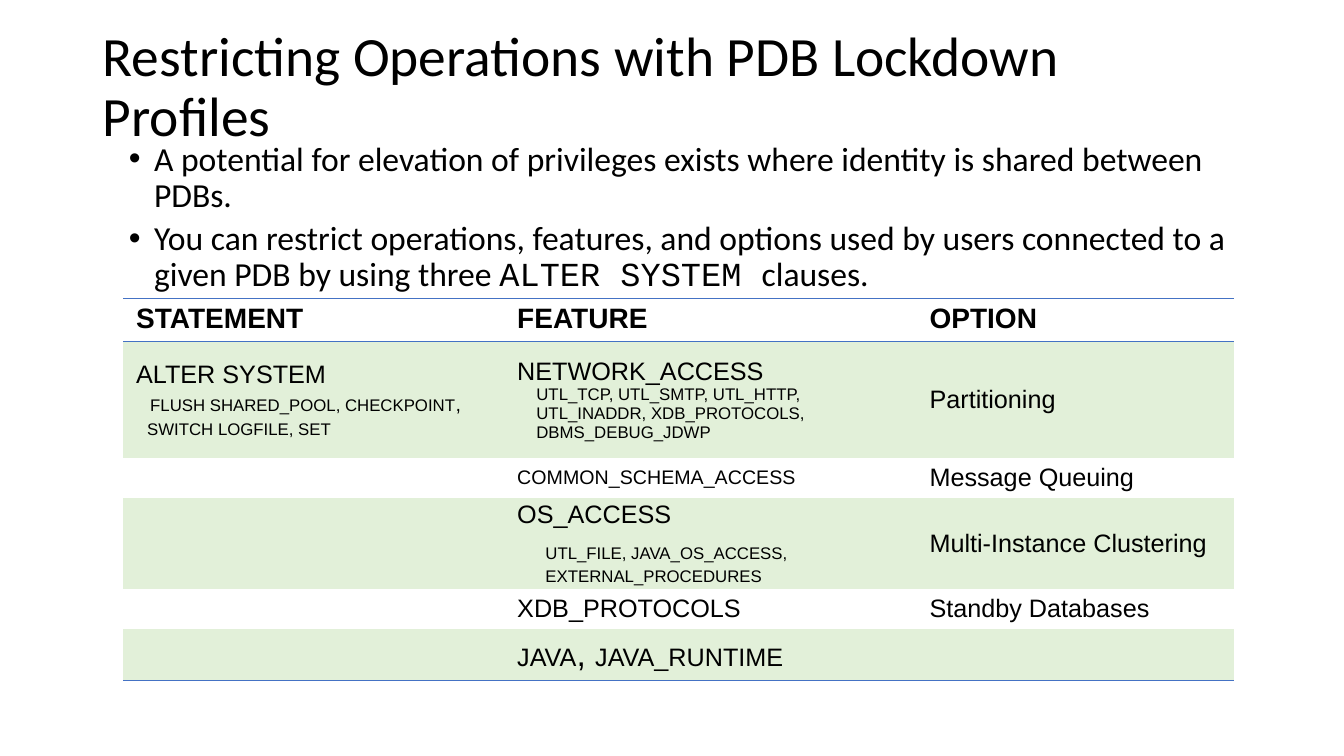
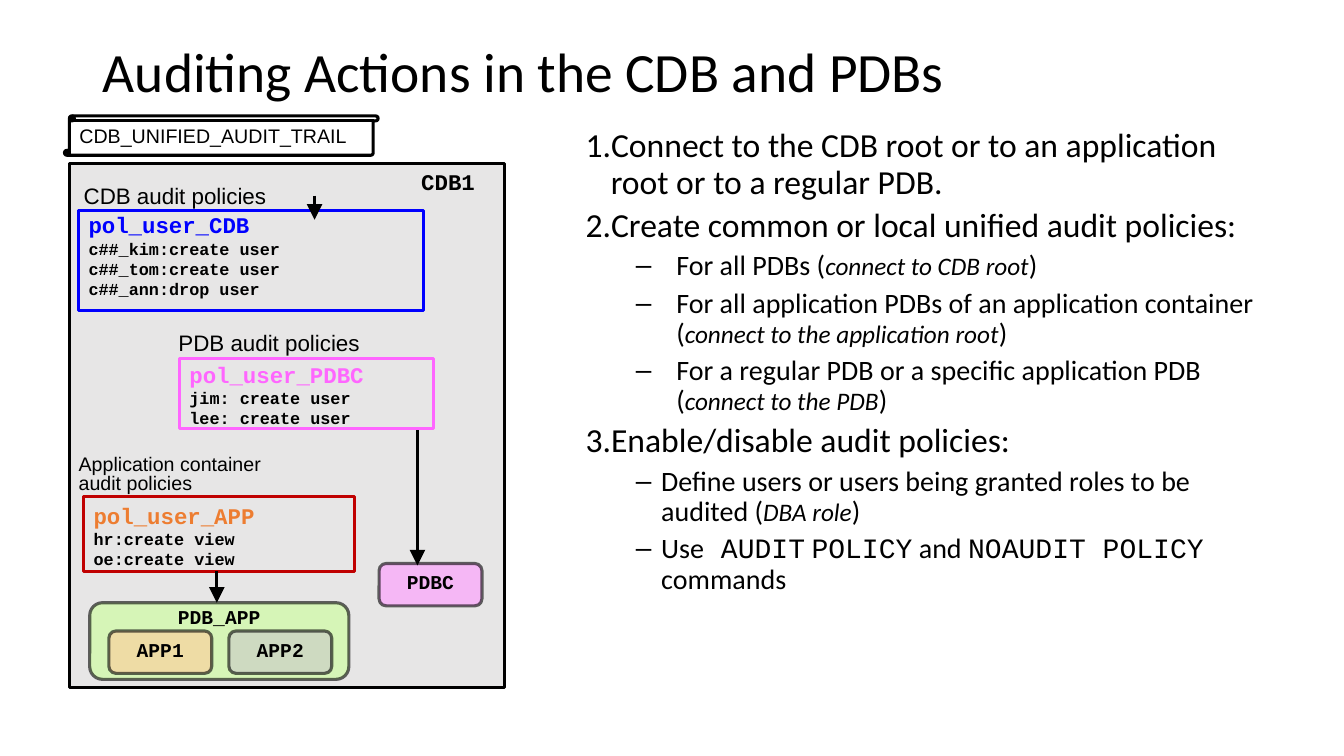
from pptx import Presentation
from pptx.dml.color import RGBColor
from pptx.enum.dml import MSO_LINE
from pptx.enum.shapes import MSO_CONNECTOR, MSO_SHAPE
from pptx.enum.text import MSO_ANCHOR, MSO_AUTO_SIZE, PP_ALIGN
from pptx.oxml import parse_xml
from pptx.oxml.ns import nsdecls, qn
from pptx.oxml.xmlchemy import OxmlElement
from pptx.util import Inches, Pt

COLORS = {
    "black": "000000", "panel": "E7E6E6", "band": "E2F0D9", "rule": "4472C4",
    "blue": "0000FF", "pink": "FF66FF", "orange": "ED7D31", "red": "C00000",
    "pdb": "FF99FF", "container": "CCFF99", "app1": "FFCC99", "app2": "C9C9C9",
}
COLOR = {name: RGBColor.from_string(value) for name, value in COLORS.items()}
HEADING, LABEL, CODE = "Calibri", "Arial", "Courier New"
LINE_WIDTH = Pt(2.25)


def write(frame, paragraphs, font, bold=False, align=PP_ALIGN.LEFT, spacing=None):
    """Each paragraph is (runs, format); each run is (text, size, optional changes)."""
    for index, (runs, layout) in enumerate(paragraphs):
        paragraph = frame.paragraphs[0] if index == 0 else frame.add_paragraph()
        paragraph.alignment = align
        paragraph.level = layout.get("level", 0)
        paragraph.line_spacing = spacing
        paragraph.space_before = Pt(layout.get("before", 0))
        paragraph.space_after = Pt(layout.get("after", 0))
        properties = paragraph._p.get_or_add_pPr()
        properties.set("marL", str(Inches(layout.get("left", 0))))
        properties.set("indent", str(-Inches(layout.get("hang", 0))))
        bullet = layout.get("bullet")
        if bullet == "1.":
            number = OxmlElement("a:buAutoNum")
            number.set("type", "arabicPeriod")
            properties.append(number)
        elif bullet:
            typeface = OxmlElement("a:buFont")
            typeface.set("typeface", "Arial")
            mark = OxmlElement("a:buChar")
            mark.set("char", bullet)
            properties.extend([typeface, mark])
        for text, size, *changes in runs:
            style = changes[0] if changes else {}
            run = paragraph.add_run()
            run.text = text
            run.font.size = Pt(size)
            run.font.name = style.get("font", font)
            run.font.bold = bold
            run.font.italic = style.get("italic", False)
            run.font.color.rgb = COLOR[style.get("color", "black")]


def add_text(slide, at, paragraphs, font, margins=(0.1, 0.05), grow=True, **style):
    frame = slide.shapes.add_textbox(*map(Inches, at)).text_frame
    frame.word_wrap = True
    frame.auto_size = MSO_AUTO_SIZE.SHAPE_TO_FIT_TEXT if grow else MSO_AUTO_SIZE.NONE
    frame.margin_left = frame.margin_right = Inches(margins[0])
    frame.margin_top = frame.margin_bottom = Inches(margins[1])
    write(frame, paragraphs, font, **style)


presentation = Presentation()
presentation.slide_width = Inches(13.33)
presentation.slide_height = Inches(7.5)

# Slides and titles
slides = []
for title_text, width, height in [
    ("Restricting Operations with PDB Lockdown Profiles", 11.34, 0.96),
    ("Auditing Actions in the CDB and PDBs", 10.47, 0.67),
]:
    slide = presentation.slides.add_slide(presentation.slide_layouts[5])
    title = slide.shapes.title
    title.left, title.top = Inches(0.92), Inches(0.4)
    title.width, title.height = Inches(width), Inches(height)
    title.text_frame.word_wrap = True
    title.text_frame.auto_size = MSO_AUTO_SIZE.NONE
    title.text_frame.vertical_anchor = MSO_ANCHOR.MIDDLE
    write(title.text_frame, [([(title_text, 39.6)], {})], HEADING, spacing=0.9)
    slides.append(slide)
lockdown_slide, audit_slide = slides

# Lockdown bullets
code = {"font": CODE}
bullet = {"left": 0.75, "hang": 0.25, "before": 5, "bullet": "•"}
add_text(lockdown_slide, (0.68, 1.36, 11.97, 1.7), [
    ([("A potential for elevation of privileges exists where identity is shared "
       "between PDBs.", 24)], bullet),
    ([("You can restrict operations, features, and options used by users connected "
       "to a given PDB by using three ", 24),
      ("ALTER SYSTEM ", 24, code), ("clauses.", 24)], bullet),
], HEADING, grow=False, spacing=0.9)

# Lockdown table: a plain string is one 18 pt line
detail = {"left": 0.19}
rows = [
    ["STATEMENT", "FEATURE", "OPTION"],
    [[([("ALTER SYSTEM", 18)], {}),
      ([("FLUSH SHARED_POOL, CHECKPOINT", 12), (",", 14)],
       {"left": 0.14, "before": 3.6, "after": 1}),
      ([("SWITCH LOGFILE, SET", 12)], {"left": 0.11, "before": 1.8, "after": 0.5})],
     [([("NETWORK_ACCESS", 18)], {}),
      ([("UTL_TCP, UTL_SMTP, UTL_HTTP,", 12)], detail),
      ([("UTL_INADDR, XDB_PROTOCOLS,", 12)], detail),
      ([("DBMS_DEBUG_JDWP", 12)], detail)],
     "Partitioning"],
    ["", [([("COMMON_SCHEMA_ACCESS", 14)], {})], "Message Queuing"],
    ["",
     [([("OS_ACCESS", 18)], {}),
      ([("UTL_FILE, JAVA_OS_ACCESS,", 12)],
       {"left": 0.28, "before": 10.9, "after": 2.5}),
      ([("EXTERNAL_PROCEDURES", 12)], {"left": 0.28})],
     "Multi-Instance Clustering"],
    ["", "XDB_PROTOCOLS", "Standby Databases"],
    ["", [([("JAVA", 18), (", ", 24), ("JAVA_RUNTIME", 18)], {})], ""],
]
table = lockdown_slide.shapes.add_table(
    6, 3, Inches(1.22), Inches(2.96), Inches(11.02), Inches(3.79)).table
table.first_row = table.horz_banding = False
table._tbl.tblPr.find(qn("a:tableStyleId")).text = "{2D5ABB26-0587-4C30-8999-92F81FD0307C}"
for column, width in zip(table.columns, (3.78, 4.09, 3.15)):
    column.width = Inches(width)
for row, height in zip(table.rows, (0.43, 1.15, 0.4, 0.9, 0.4, 0.51)):
    row.height = Inches(height)
for row_index, row in enumerate(rows):
    header = row_index == 0
    sides = {0: ("lnT", "lnB"), len(rows) - 1: ("lnB",)}.get(row_index, ())
    for column_index, content in enumerate(row):
        cell = table.cell(row_index, column_index)
        cell.margin_left = cell.margin_right = Inches(0.13)
        cell.margin_top = cell.margin_bottom = Inches(0.05 if header else 0)
        cell.vertical_anchor = MSO_ANCHOR.TOP if header else MSO_ANCHOR.MIDDLE
        if row_index % 2:
            cell.fill.solid()
            cell.fill.fore_color.rgb = COLOR["band"]
        else:
            cell.fill.background()
        if isinstance(content, str) and content:
            content = [([(content, 20 if header else 18)], {})]
        if content:
            write(cell.text_frame, content, LABEL, bold=header)
        for position, side in enumerate(sides):
            cell._tc.get_or_add_tcPr().insert(position, parse_xml(
                f'<a:{side} {nsdecls("a")} w="12700"><a:solidFill>'
                f'<a:srgbClr val="{COLORS["rule"]}"/></a:solidFill></a:{side}>'))

# Audit steps
step = {**bullet, "bullet": "1."}
wide_dash = {"level": 1, "left": 1.4, "hang": 0.4, "before": 5, "bullet": "–"}
dash = {**wide_dash, "left": 1.25, "hang": 0.25}
steps = [
    ([("Connect to the CDB root or to an application root or to a regular PDB.", 24)], step),
    ([("Create common or local unified audit policies:", 24)], step),
]
for text, hint, layout in [
    ("For all PDBs (", "connect to CDB root", wide_dash),
    ("For all application PDBs of an application container (",
     "connect to the application root", wide_dash),
    ("For a regular PDB or a specific application PDB (", "connect to the PDB", wide_dash),
    ("Define users or users being granted roles to be audited (", "DBA role", dash),
]:
    steps.append(([(text, 20), (hint, 18, {"italic": True}), (")", 20)], layout))
steps.insert(-1, ([("Enable/disable audit policies:", 24)], step))
steps.append(([("Use", 20), (" AUDIT", 20, code), (" ", 20), ("POLICY", 20, code),
               (" and ", 20), ("NOAUDIT POLICY", 20, code), (" commands", 20)], dash))
add_text(audit_slide, (5.21, 1.23, 7.43, 5.08), steps, HEADING, grow=False, spacing=0.9)

# CDB panel, policy frames and audit trail scroll
outlines = {}
for name, preset, at, fill, line in [
    ("panel", MSO_SHAPE.RECTANGLE, (0.69, 1.62, 4.31, 5.2), "panel", "black"),
    ("cdb", MSO_SHAPE.RECTANGLE, (0.78, 2.09, 3.42, 0.99), None, "blue"),
    ("pdb", MSO_SHAPE.RECTANGLE, (1.78, 3.56, 2.52, 0.69), None, "pink"),
    ("app", MSO_SHAPE.RECTANGLE, (0.83, 4.93, 2.69, 0.74), None, "red"),
    ("trail", MSO_SHAPE.VERTICAL_SCROLL, (0.64, 1.15, 3.11, 0.39), None, "black"),
]:
    shape = audit_slide.shapes.add_shape(preset, *map(Inches, at))
    shape.shadow.inherit = False
    if fill:
        shape.fill.solid()
        shape.fill.fore_color.rgb = COLOR[fill]
    else:
        shape.fill.background()
    shape.line.color.rgb = COLOR[line]
    shape.line.width = LINE_WIDTH
    outlines[name] = shape
trail_frame = outlines["trail"].text_frame
trail_frame.vertical_anchor = MSO_ANCHOR.MIDDLE
write(trail_frame, [([("CDB_UNIFIED_AUDIT_TRAIL", 14)], {"left": 0.13, "hang": 0.13})],
      LABEL, spacing=0.9)

# Panel labels
add_text(audit_slide, (4.08, 1.67, 1.16, 0.33), [([("CDB1", 16)], {})],
         CODE, bold=True, spacing=0.8)
for at, size, lines in [
    ((0.79, 1.85, 2.93, 0.27), 16, ["CDB audit policies"]),
    ((1.73, 3.31, 3.14, 0.27), 16, ["PDB audit policies"]),
    ((0.74, 4.5, 2.77, 0.44), 14, ["Application container", "audit policies"]),
]:
    add_text(audit_slide, at, [([(line, size)], {}) for line in lines], LABEL,
             margins=(0.04, 0.04), spacing=Pt(13))

# Policy texts
for at, policy, color, actions in [
    ((0.78, 2.05, 3.66, 0.98), "pol_user_CDB", "blue",
     ["c##_kim:create user", "c##_tom:create user", "c##_ann:drop user"]),
    ((1.78, 3.53, 2.79, 0.77), "pol_user_PDBC", "pink",
     ["jim: create user", "lee: create user"]),
    ((0.83, 4.93, 2.69, 0.77), "pol_user_APP", "orange",
     ["hr:create view", "oe:create view"]),
]:
    heading = ([(policy, 16, {"color": color})], {})
    add_text(audit_slide, at, [heading] + [([(action, 12)], {}) for action in actions],
             CODE, bold=True)

# Translucent database boxes
for name, fill, at, anchor in [
    ("PDBC", "pdb", (3.76, 5.59, 1.02, 0.42), MSO_ANCHOR.MIDDLE),
    ("PDB_APP", "container", (0.89, 5.98, 2.57, 0.76), MSO_ANCHOR.TOP),
    ("APP1", "app1", (1.08, 6.26, 1.02, 0.42), MSO_ANCHOR.MIDDLE),
    ("APP2", "app2", (2.27, 6.26, 1.02, 0.42), MSO_ANCHOR.MIDDLE),
]:
    box = audit_slide.shapes.add_shape(MSO_SHAPE.ROUNDED_RECTANGLE, *map(Inches, at))
    box.shadow.inherit = False
    box.fill.solid()
    box.fill.fore_color.rgb = COLOR[fill]
    box.line.color.rgb = COLOR["black"]
    box.line.width = LINE_WIDTH
    box.line.dash_style = MSO_LINE.SOLID
    for color_element in box._element.spPr.iter(qn("a:srgbClr")):
        alpha = OxmlElement("a:alpha")
        alpha.set("val", "60000")
        color_element.append(alpha)
    frame = box.text_frame
    frame.margin_left = frame.margin_right = 0
    frame.margin_top, frame.margin_bottom = Inches(0.08), Inches(0.04)
    frame.vertical_anchor = anchor
    write(frame, [([(name, 14)], {})], CODE, bold=True,
          align=PP_ALIGN.CENTER, spacing=Pt(10))

# Downward arrows
for x, top, bottom in [(4.14, 4.27, 5.61), (2.15, 5.66, 5.98), (3.12, 1.94, 2.18)]:
    arrow = audit_slide.shapes.add_connector(
        MSO_CONNECTOR.STRAIGHT, Inches(x), Inches(top), Inches(x), Inches(bottom))
    arrow.line.color.rgb = COLOR["black"]
    arrow.line.width = LINE_WIDTH
    head = OxmlElement("a:tailEnd")
    for key, value in (("type", "triangle"), ("w", "lg"), ("len", "lg")):
        head.set(key, value)
    arrow.line._get_or_add_ln().append(head)
    arrow._element.spPr.append(OxmlElement("a:effectLst"))

presentation.save("out.pptx")
